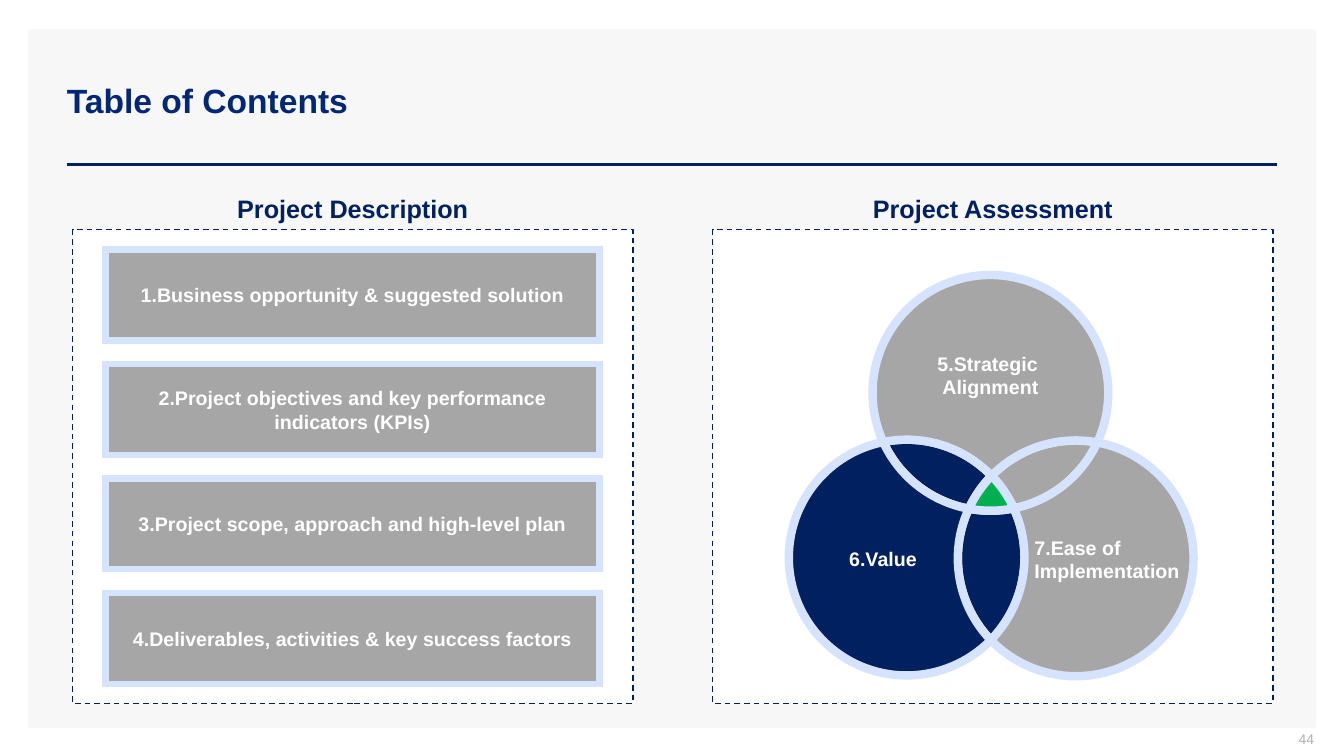
from collections import namedtuple
from math import acos, atan2, ceil, cos, dist, floor, pi, sin, tan, tau

from lxml import etree
from pptx import Presentation
from pptx.dml.color import RGBColor
from pptx.enum.dml import MSO_LINE
from pptx.enum.shapes import MSO_CONNECTOR, MSO_SHAPE
from pptx.enum.text import MSO_ANCHOR, PP_ALIGN
from pptx.oxml.ns import qn
from pptx.util import Cm, Pt

RECTANGLE = MSO_SHAPE.RECTANGLE
STRAIGHT = MSO_CONNECTOR.STRAIGHT
DASH = MSO_LINE.DASH
MIDDLE = MSO_ANCHOR.MIDDLE
LEFT, CENTER, RIGHT = PP_ALIGN.LEFT, PP_ALIGN.CENTER, PP_ALIGN.RIGHT

COLORS = {
    "title": "002776", "navy": "002060", "gray": "A6A6A6", "green": "00B050",
    "pale": "D6E3FF", "light": "F2F2F2", "canvas": "F7F7F7",
    "white": "FFFFFF", "number": "ADAFBB",
}
Box = namedtuple("Box", "left top width height")
DESCRIPTION = Box(1.83, 5.79, 14.12, 11.94)
ASSESSMENT = DESCRIPTION._replace(left=17.96)

TOPICS = [
    "1.Business opportunity & suggested solution",
    "2.Project objectives and key performance indicators (KPIs)",
    "3.Project scope, approach and high-level plan",
    "4.Deliverables, activities & key success factors",
]
RADIUS = 2.97
CENTERS = {"top": (7, 4.11), "left": (4.89, 8.26), "right": (9.15, 8.28)}
# Each arc: circle, first crossing, last crossing, direction (1 is clockwise).
REGIONS = {
    "top left lens": [("left", "TL out", "LR in", 1), ("right", "LR in", "TR in", -1),
                      ("top", "TR in", "TL out", 1)],
    "top right lens": [("right", "LR in", "TR out", 1), ("top", "TR out", "TL in", 1),
                       ("left", "TL in", "LR in", -1)],
    "bottom lens": [("left", "TL in", "LR out", 1), ("right", "LR out", "TR in", 1),
                    ("top", "TR in", "TL in", -1)],
    "strategy": [("top", "TL out", "TR out", 1), ("right", "TR out", "LR in", -1),
                 ("left", "LR in", "TL out", -1)],
    "value": [("left", "LR out", "TL out", 1), ("top", "TL out", "TR in", -1),
              ("right", "TR in", "LR out", -1)],
    "ease": [("right", "TR out", "LR out", 1), ("left", "LR out", "TL in", -1),
             ("top", "TL in", "TR out", -1)],
    "core": [("left", "LR in", "TL in", 1), ("top", "TL in", "TR in", 1),
             ("right", "TR in", "LR in", 1)],
}
REGION_STYLES = {
    "top left lens": ("navy", "light"), "top right lens": ("gray", "light"),
    "bottom lens": ("navy", "light"), "strategy": ("gray", "pale"),
    "value": ("navy", "pale"), "ease": ("gray", "pale"), "core": ("green", "pale"),
}
REGION_LABELS = {
    "strategy": (["5.Strategic ", "Alignment"], CENTER, 0),
    "value": (["6.Value"], LEFT, 1.52),
    "ease": (["7.Ease of Implementation"], LEFT, 1.1),
}


def color(name):
    return RGBColor.from_string(COLORS[name])


def lengths(box):
    return [Cm(value) for value in box]


def write(shape, lines, size, tint, align=CENTER, bold=True):
    frame = shape.text_frame
    frame.word_wrap = True
    frame.vertical_anchor = MIDDLE
    frame.text = "\n".join(lines)
    for paragraph in frame.paragraphs:
        paragraph.alignment = align
        font = paragraph.font
        font.name, font.size, font.bold = "Arial", Pt(size), bold
        font.color.rgb = color(tint)
    return frame


def paint(shape, fill, line=None, width=1):
    shape.shadow.inherit = False
    shape.fill.solid()
    shape.fill.fore_color.rgb = color(fill)
    if line:
        shape.line.color.rgb = color(line)
        shape.line.width = Pt(width)
    else:
        shape.line.fill.background()


def join_corners(shape, kind):
    etree.SubElement(shape._element.spPr.find(qn("a:ln")), qn(kind))


def add_frame(page):
    canvas = page.shapes.add_shape(RECTANGLE, *lengths(Box(0.71, 0.74, 32.46, 17.6)))
    paint(canvas, "canvas")
    rule = page.shapes.add_connector(STRAIGHT, Cm(1.68), Cm(4.14), Cm(32.18), Cm(4.14))
    rule.line.color.rgb = color("navy")
    rule.line.width = Pt(2)
    etree.SubElement(rule._element.spPr, qn("a:effectLst"))

    title = page.shapes.title
    title.left, title.top, title.width, title.height = lengths(Box(1.43, 1.02, 29.08, 3.02))
    write(title, ["Table of Contents"], 24, "title", LEFT)
    page.shapes._spTree.append(title._element)

    number = page.shapes.add_textbox(*lengths(Box(25.5, 18.42, 7.62, 0.53)))
    frame = write(number, ["44"], 10, "number", RIGHT, False)
    frame.margin_top = frame.margin_right = 0


def add_panel(page, box, heading):
    panel = page.shapes.add_shape(RECTANGLE, *lengths(box))
    paint(panel, "white", "navy")
    panel.line.dash_style = DASH
    width = 7.21
    label = Box(box.left + (box.width - width) / 2, box.top - 1.04, width, 1.02)
    write(page.shapes.add_textbox(*lengths(label)), [heading], 18, "navy")


def add_description(page, box):
    add_panel(page, box, "Project Description")
    height, margin = 2.29, 0.5
    pitch = (box.height - 2 * margin - height) / (len(TOPICS) - 1)
    for index, topic in enumerate(TOPICS):
        place = Box(box.left + 0.83, box.top + margin + index * pitch, 12.45, height)
        bar = page.shapes.add_shape(RECTANGLE, *lengths(place))
        paint(bar, "gray", "pale", 4.5)
        join_corners(bar, "a:miter")
        write(bar, [topic], 14, "white")


def crossings(first, second):
    angle = atan2(second[1] - first[1], second[0] - first[0])
    spread = acos(dist(first, second) / 2 / RADIUS)
    return [(first[0] + RADIUS * cos(turn), first[1] + RADIUS * sin(turn))
            for turn in (angle - spread, angle + spread)]


def arc_curves(center, start, end, direction):
    first, last = (atan2(y - center[1], x - center[0]) for x, y in (start, end))
    last = first + direction * ((direction * (last - first)) % tau)
    quarter = pi / 2
    low, high = min(first, last), max(first, last)
    quarters = range(floor(low / quarter) + 1, ceil(high / quarter))
    angles = [low, *(turn * quarter for turn in quarters), high][::direction]
    curves = []
    for begin, finish in zip(angles, angles[1:]):
        reach = 4 / 3 * tan((finish - begin) / 4)
        curves.append([
            (center[0] + RADIUS * (cos(angle) - pull * sin(angle)),
             center[1] + RADIUS * (sin(angle) + pull * cos(angle)))
            for angle, pull in ((begin, reach), (finish, -reach), (finish, 0))])
    return curves


def add_region(page, start, curves):
    builder = page.shapes.build_freeform(*start)
    builder.add_line_segments([curve[-1] for curve in curves])
    region = builder.convert_to_shape()
    segments = list(region._element.iter(qn("a:lnTo")))
    for segment, curve in zip(segments, curves):
        segment.tag = qn("a:cubicBezTo")
        segment.remove(segment[0])
        for x, y in curve:
            etree.SubElement(segment, qn("a:pt"),
                             x=str(x - region.left), y=str(y - region.top))
    return region


def add_assessment(page, box):
    add_panel(page, box, "Project Assessment")
    top, left, right = CENTERS["top"], CENTERS["left"], CENTERS["right"]
    corners = {}
    corners["TL in"], corners["TL out"] = crossings(top, left)
    corners["TR out"], corners["TR in"] = crossings(top, right)
    corners["LR in"], corners["LR out"] = crossings(left, right)
    for name, arcs in REGIONS.items():
        curves = [[(Cm(box.left + x), Cm(box.top + y)) for x, y in curve]
                  for circle, start, end, direction in arcs
                  for curve in arc_curves(CENTERS[circle], corners[start],
                                          corners[end], direction)]
        region = add_region(page, curves[-1][-1], curves)
        fill, line = REGION_STYLES[name]
        paint(region, fill, line, 6)
        join_corners(region, "a:round")
        if name in REGION_LABELS:
            lines, align, indent = REGION_LABELS[name]
            frame = write(region, lines, 14, "white", align)
            frame.margin_left, frame.margin_right = Cm(indent), 0


def main():
    deck = Presentation()
    deck.slide_width, deck.slide_height = Cm(33.87), Cm(19.05)
    page = deck.slides.add_slide(deck.slide_layouts[5])
    add_frame(page)
    add_description(page, DESCRIPTION)
    add_assessment(page, ASSESSMENT)
    deck.save("out.pptx")


if __name__ == "__main__":
    main()
